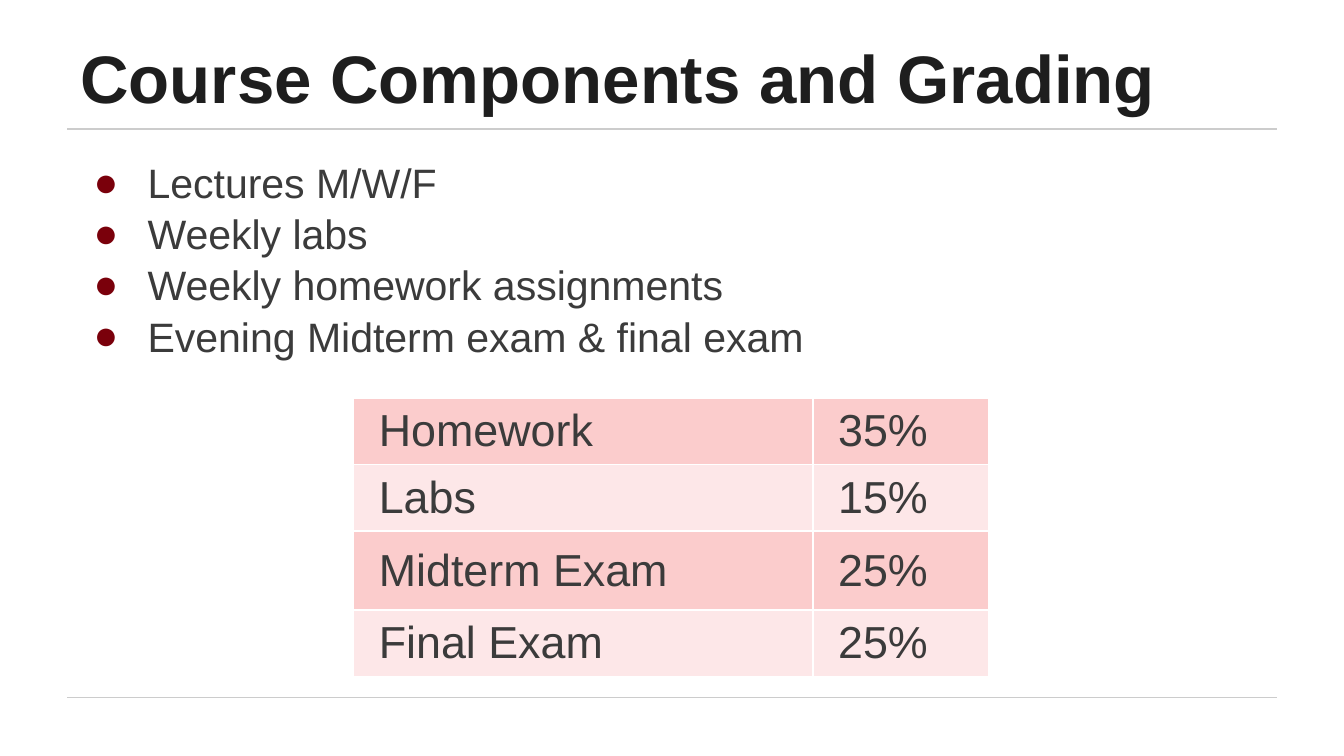
from lxml import etree
from pptx import Presentation
from pptx.dml.color import RGBColor
from pptx.enum.shapes import MSO_CONNECTOR
from pptx.enum.text import MSO_ANCHOR, MSO_AUTO_SIZE, PP_ALIGN
from pptx.oxml.ns import qn
from pptx.util import Cm, Pt

STRAIGHT = MSO_CONNECTOR.STRAIGHT
BOTTOM, MIDDLE = MSO_ANCHOR.BOTTOM, MSO_ANCHOR.MIDDLE
LEFT, JUSTIFY = PP_ALIGN.LEFT, PP_ALIGN.JUSTIFY
NO_AUTOFIT = MSO_AUTO_SIZE.NONE

COLORS = {
    "title": "1E1E1E",
    "text": "3B3B3B",
    "bullet": "7A000B",
    "rule": "CCCCCC",
    "border": "FFFFFF",
    "dark_row": "FBCCCC",
    "light_row": "FDE7E8",
}


def color(name):
    return RGBColor.from_string(COLORS[name])


def write(paragraph, text, size, fill="text", bold=False, align=LEFT, spacing=1.0):
    paragraph.alignment = align
    paragraph.line_spacing = spacing
    span = paragraph.add_run()
    span.text = text
    span.font.name = "Arial"
    span.font.size = Pt(size)
    span.font.bold = bold
    span.font.color.rgb = color(fill)


deck = Presentation()
deck.slide_width, deck.slide_height = Cm(25.4), Cm(14.29)
page = deck.slides.add_slide(deck.slide_layouts[5])

# Rules above and below the content
for y in (2.44, 13.18):
    rule = page.shapes.add_connector(STRAIGHT, Cm(1.27), Cm(y), Cm(24.13), Cm(y))
    rule.line.color.rgb = color("rule")
    rule.line.width = Pt(0.75)
    etree.SubElement(rule._element.spPr, qn("a:effectLst"))

# Title and list frames
title = page.shapes.title
title.left, title.top, title.width, title.height = Cm(1.27), Cm(0.58), Cm(20.96), Cm(1.88)
body = page.shapes.add_textbox(Cm(1.27), Cm(2.69), Cm(22.86), Cm(4.29))
for box in (title, body):
    frame = box.text_frame
    frame.word_wrap = True
    frame.auto_size = NO_AUTOFIT
    frame.margin_left = frame.margin_right = Cm(0.25)
    frame.margin_top = frame.margin_bottom = Cm(0.25)
title.text_frame.vertical_anchor = BOTTOM
write(title.text_frame.paragraphs[0], "Course Components and Grading", 36, fill="title", bold=True)

# Bulleted list
components = [
    "Lectures M/W/F",
    "Weekly labs",
    "Weekly homework assignments",
    "Evening Midterm exam & final exam",
]
for index, component in enumerate(components):
    frame = body.text_frame
    paragraph = frame.add_paragraph() if index else frame.paragraphs[0]
    write(paragraph, component, 22, spacing=1.04)
    properties = paragraph._p.get_or_add_pPr()
    properties.set("marL", str(Cm(1.27)))
    properties.set("indent", str(-Cm(1.02)))
    bullet_color = etree.SubElement(properties, qn("a:buClr"))
    etree.SubElement(bullet_color, qn("a:srgbClr"), val=COLORS["bullet"])
    etree.SubElement(properties, qn("a:buFont"), typeface="Arial")
    etree.SubElement(properties, qn("a:buChar"), char="●")

# Grading table
grades = [("Homework", "35%"), ("Labs", "15%"), ("Midterm Exam", "25%"), ("Final Exam", "25%")]
column_widths = [8.68, 3.33]
row_heights = [1.26, 1.26, 1.49, 1.26]
table = page.shapes.add_table(
    len(grades), len(column_widths), Cm(6.68), Cm(7.52),
    Cm(sum(column_widths)), Cm(sum(row_heights)),
).table
table.first_row = table.horz_banding = False
for column, width in zip(table.columns, column_widths):
    column.width = Cm(width)
for row_index, (row, height) in enumerate(zip(table.rows, row_heights)):
    row.height = Cm(height)
    for cell, text in zip(row.cells, grades[row_index]):
        cell.vertical_anchor = MIDDLE
        cell.margin_left = cell.margin_right = Cm(0.48)
        cell.margin_top = cell.margin_bottom = 0
        write(cell.text_frame.paragraphs[0], text, 24, align=JUSTIFY)
        for side in ("a:lnL", "a:lnR", "a:lnT", "a:lnB"):
            border = etree.SubElement(cell._tc.get_or_add_tcPr(), qn(side), w=str(Pt(1)))
            border_fill = etree.SubElement(border, qn("a:solidFill"))
            etree.SubElement(border_fill, qn("a:srgbClr"), val=COLORS["border"])
        cell.fill.solid()
        cell.fill.fore_color.rgb = color("light_row" if row_index % 2 else "dark_row")

deck.save("out.pptx")
